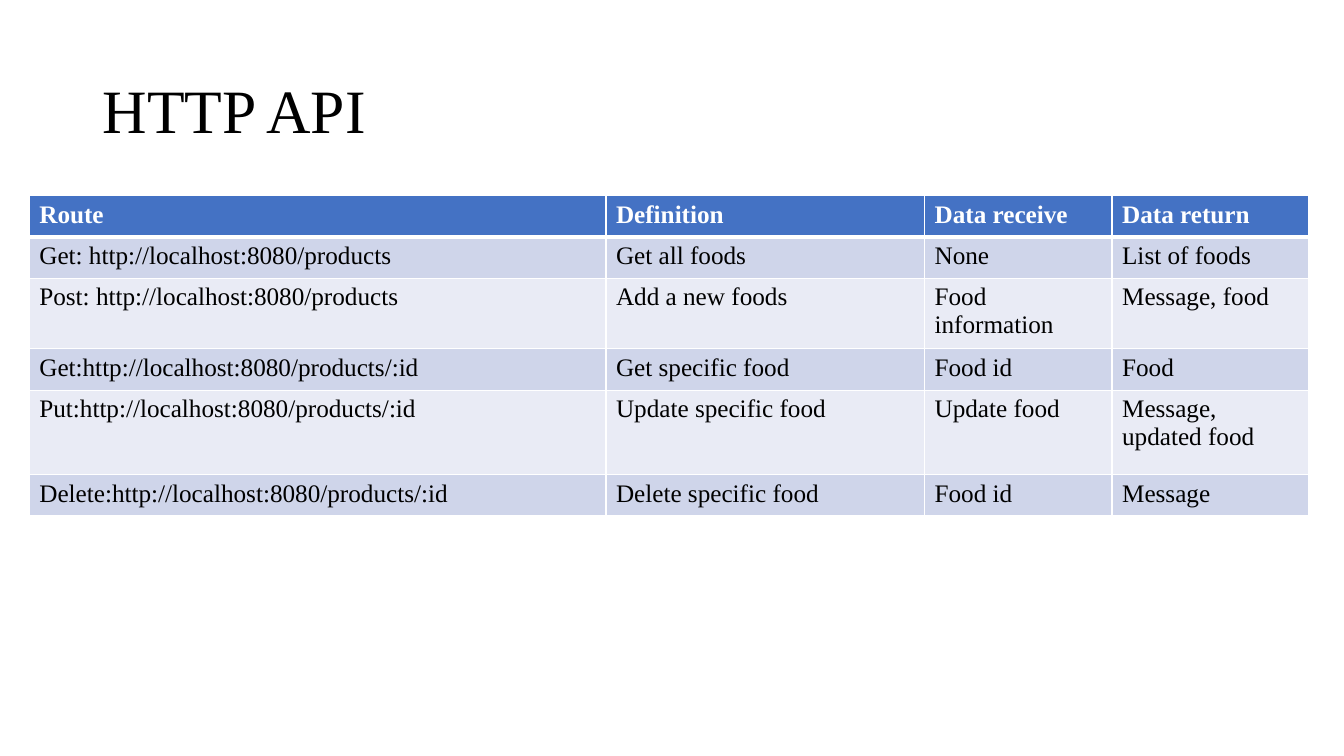
from dataclasses import dataclass
from lxml import etree
from pptx import Presentation
from pptx import util as u
from pptx.dml import color
from pptx.enum import text
from pptx.oxml import ns


@dataclass(frozen=True)
class Theme:
    font: str = "Times New Roman"
    title: int = 44
    body: int = 18
    ink: str = "000000"
    white: str = "FFFFFF"
    head: str = "4472C4"
    bands: tuple = ("E9EBF5", "CFD5EA")
    thin: int = 1
    thick: int = 3


class Deck:
    def __init__(self, theme):
        self.theme = theme
        self.show = Presentation()
        self.show.slide_width = u.Inches(13.33)
        self.show.slide_height = u.Inches(7.5)
        self.slide = self.show.slides.add_slide(self.show.slide_layouts[6])

    def label(self, para, words, size, tint, bold=False):
        run = para.add_run()
        run.text = words
        run.font.name = self.theme.font
        run.font.size = u.Pt(size)
        run.font.bold = bold
        run.font.color.rgb = color.RGBColor.from_string(tint)

    def title(self, words, left, top, width, height):
        box = self.slide.shapes.add_textbox(*map(u.Inches, (left, top, width, height)))
        frame = box.text_frame
        frame.word_wrap = True
        frame.vertical_anchor = text.MSO_ANCHOR.MIDDLE
        para = frame.paragraphs[0]
        para.line_spacing = 0.9
        self.label(para, words, self.theme.title, self.theme.ink)

    def border(self, cell, side, width):
        props = cell._tc.get_or_add_tcPr()
        line = etree.SubElement(props, ns.qn(f"a:ln{side}"), w=str(u.Pt(width)))
        fill = etree.SubElement(line, ns.qn("a:solidFill"))
        etree.SubElement(fill, ns.qn("a:srgbClr"), val=self.theme.white)

    def cell(self, cell, words, row):
        theme = self.theme
        first = row == 0
        for side in "LRTB":
            heavy = (row, side) in ((0, "B"), (1, "T"))
            self.border(cell, side, theme.thick if heavy else theme.thin)
        cell.fill.solid()
        shade = theme.head if first else theme.bands[row % 2]
        cell.fill.fore_color.rgb = color.RGBColor.from_string(shade)
        tint = theme.white if first else theme.ink
        self.label(cell.text_frame.paragraphs[0], words, theme.body, tint, first)

    def table(self, data, left, top, widths, heights):
        place = map(u.Inches, (left, top, sum(widths), sum(heights)))
        grid = self.slide.shapes.add_table(len(heights), len(widths), *place).table
        for col, width in zip(grid.columns, widths):
            col.width = u.Inches(width)
        for row, height in zip(grid.rows, heights):
            row.height = u.Inches(height)
        for r, line in enumerate(data):
            for c, words in enumerate(line):
                self.cell(grid.cell(r, c), words, r)


URL = "http://localhost:8080/products"
ROUTES = [
    ("Route", "Definition", "Data receive", "Data return"),
    (f"Get: {URL}", "Get all foods", "None", "List of foods"),
    (f"Post: {URL}", "Add a new foods", "Food information", "Message, food"),
    (f"Get:{URL}/:id", "Get specific food", "Food id", "Food"),
    (f"Put:{URL}/:id", "Update specific food", "Update food", "Message, updated food"),
    (f"Delete:{URL}/:id", "Delete specific food", "Food id", "Message"),
]

deck = Deck(Theme())
deck.title("HTTP API", 0.92, 0.4, 11.5, 1.45)
deck.table(ROUTES, 0.29, 1.94, (5.72, 3.16, 1.86, 1.95),
           (0.41, 0.41, 0.65, 0.41, 0.84, 0.41))
deck.show.save("out.pptx")
